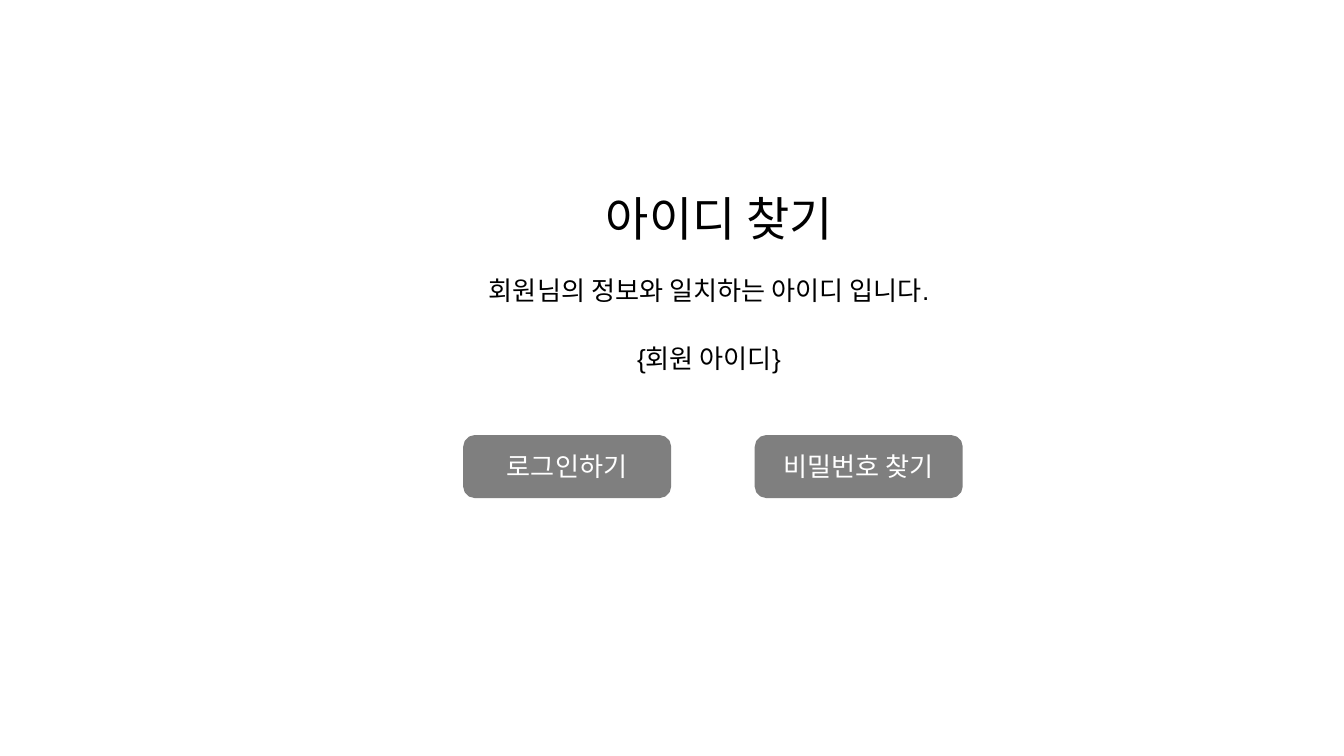
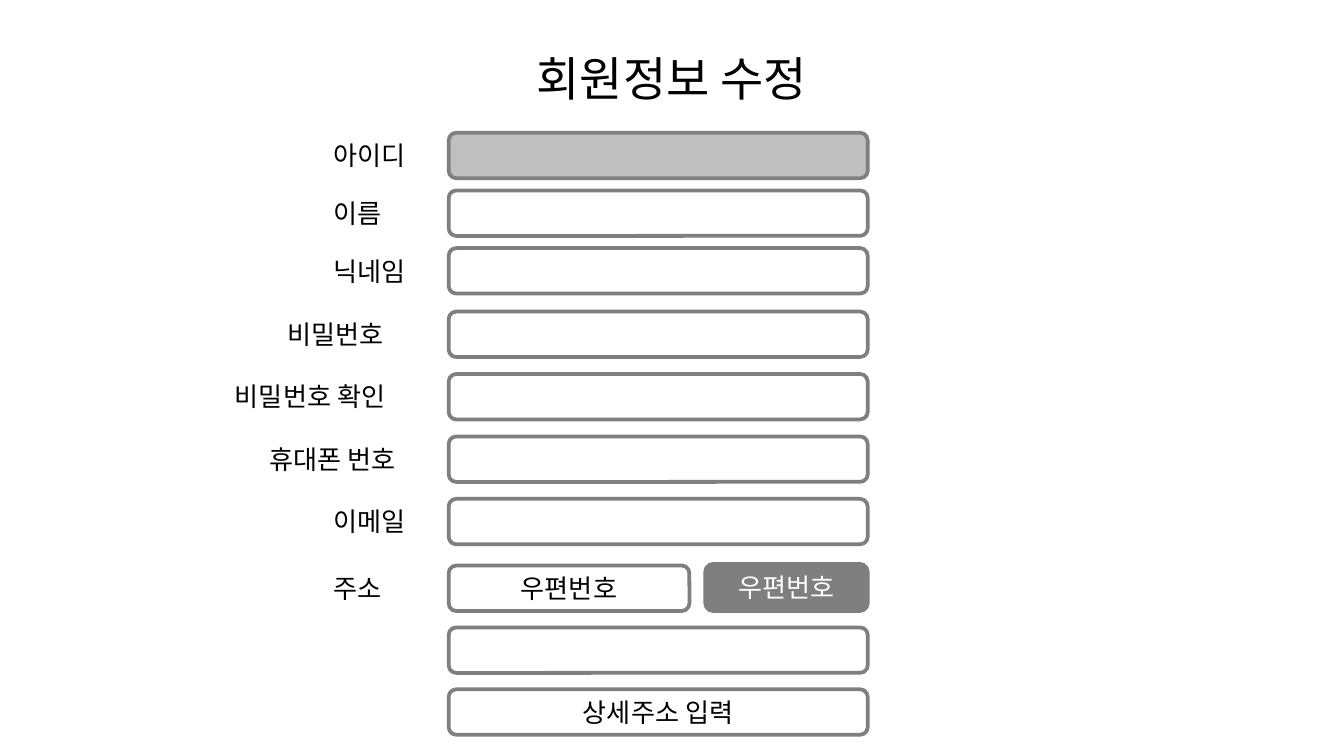
"""Build two account screens: the found ID and the member information form."""
from pptx import Presentation
from pptx.dml.color import RGBColor
from pptx.enum.shapes import MSO_SHAPE
from pptx.enum.text import MSO_ANCHOR, MSO_AUTO_SIZE, PP_ALIGN
from pptx.util import Cm, Pt

BLACK = RGBColor(0x00, 0x00, 0x00)
WHITE = RGBColor(0xFF, 0xFF, 0xFF)
GRAY = RGBColor(0x7F, 0x7F, 0x7F)
LIGHT_GRAY = RGBColor(0xBF, 0xBF, 0xBF)
ROUNDED = MSO_SHAPE.ROUNDED_RECTANGLE
LEFT, CENTER = PP_ALIGN.LEFT, PP_ALIGN.CENTER
MIDDLE = MSO_ANCHOR.MIDDLE
FIT, FIXED = MSO_AUTO_SIZE.SHAPE_TO_FIT_TEXT, MSO_AUTO_SIZE.NONE
FONT = "Arial"
TITLE_SIZE, BODY_SIZE = 25.2, 14


def add_text(slide, text, x, y, width, height, size=BODY_SIZE,
             align=LEFT, inset=0.25, fit=FIT):
    frame = slide.shapes.add_textbox(Cm(x), Cm(y), Cm(width), Cm(height)).text_frame
    frame.word_wrap = True
    frame.auto_size = fit
    frame.margin_left = frame.margin_right = Cm(0.25)
    frame.margin_top = frame.margin_bottom = Cm(inset)
    line = frame.paragraphs[0]
    line.text = text
    line.alignment = align
    line.font.name = FONT
    line.font.size = Pt(size)
    line.font.color.rgb = BLACK


def add_box(slide, x, y, width, height, fill=WHITE, text="", color=BLACK):
    box = slide.shapes.add_shape(ROUNDED, Cm(x), Cm(y), Cm(width), Cm(height))
    box.shadow.inherit = False
    box.fill.solid()
    box.fill.fore_color.rgb = fill
    box.line.color.rgb = GRAY
    box.line.width = Pt(2)
    if text:
        box.text_frame.vertical_anchor = MIDDLE
        line = box.text_frame.paragraphs[0]
        line.text = text
        line.alignment = CENTER
        line.font.name = FONT
        line.font.size = Pt(BODY_SIZE)
        line.font.color.rgb = color


prs = Presentation()
prs.slide_width, prs.slide_height = Cm(25.4), Cm(14.29)
blank = prs.slide_layouts[6]

found_id = prs.slides.add_slide(blank)
add_text(found_id, "아이디 찾기", 11.2, 3.33, 6.2, 1.6, TITLE_SIZE, fit=FIXED)
add_text(found_id, "회원님의 정보와 일치하는 아이디 입니다.", 8.99, 4.93, 12.47, 1.12)
add_text(found_id, "{회원 아이디}", 11.79, 6.22, 4.6, 1.12)
for x, action in [(8.79, "로그인하기"), (14.3, "비밀번호 찾기")]:
    add_box(found_id, x, 8.26, 3.86, 1.12, GRAY, action, WHITE)

FIELD_X, FIELD_WIDTH, FIELD_HEIGHT = 8.48, 7.92, 0.86
LABEL_X = 6.05
PROFILE_Y, PROFILE_STEP = 2.51, 1.09
CONTACT_Y, CONTACT_STEP = 5.89, 1.18
ADDRESS_Y, ADDRESS_STEP = 10.69, 1.17

profile = [("아이디", LABEL_X, LIGHT_GRAY), ("이름", LABEL_X, WHITE),
           ("닉네임", LABEL_X, WHITE)]
contact = [("비밀번호", 5.18, WHITE), ("비밀번호 확인", 4.19, WHITE),
           ("휴대폰 번호", 4.85, WHITE), ("이메일", LABEL_X, WHITE)]

edit_form = prs.slides.add_slide(blank)
add_text(edit_form, "회원정보 수정", 0.86, 0.69, 23.67, 1.6, TITLE_SIZE, CENTER, fit=FIXED)
for top, step, fields in [(PROFILE_Y, PROFILE_STEP, profile),
                          (CONTACT_Y, CONTACT_STEP, contact)]:
    for row, (label, x, fill) in enumerate(fields):
        y = top + row * step
        add_text(edit_form, label, x, y, FIELD_X - x, FIELD_HEIGHT, inset=0.13)
        add_box(edit_form, FIELD_X, y, FIELD_WIDTH, FIELD_HEIGHT, fill)

add_text(edit_form, "주소", LABEL_X, ADDRESS_Y, FIELD_X - LABEL_X, FIELD_HEIGHT, inset=0.13)
add_box(edit_form, FIELD_X, ADDRESS_Y, 4.55, FIELD_HEIGHT, text="우편번호")
add_box(edit_form, 13.33, 10.66, 3.07, 0.89, GRAY, "우편번호", WHITE)
for row, hint in enumerate(["", "상세주소 입력"], 1):
    add_box(edit_form, FIELD_X, ADDRESS_Y + row * ADDRESS_STEP,
            FIELD_WIDTH, FIELD_HEIGHT, text=hint)

prs.save("out.pptx")
